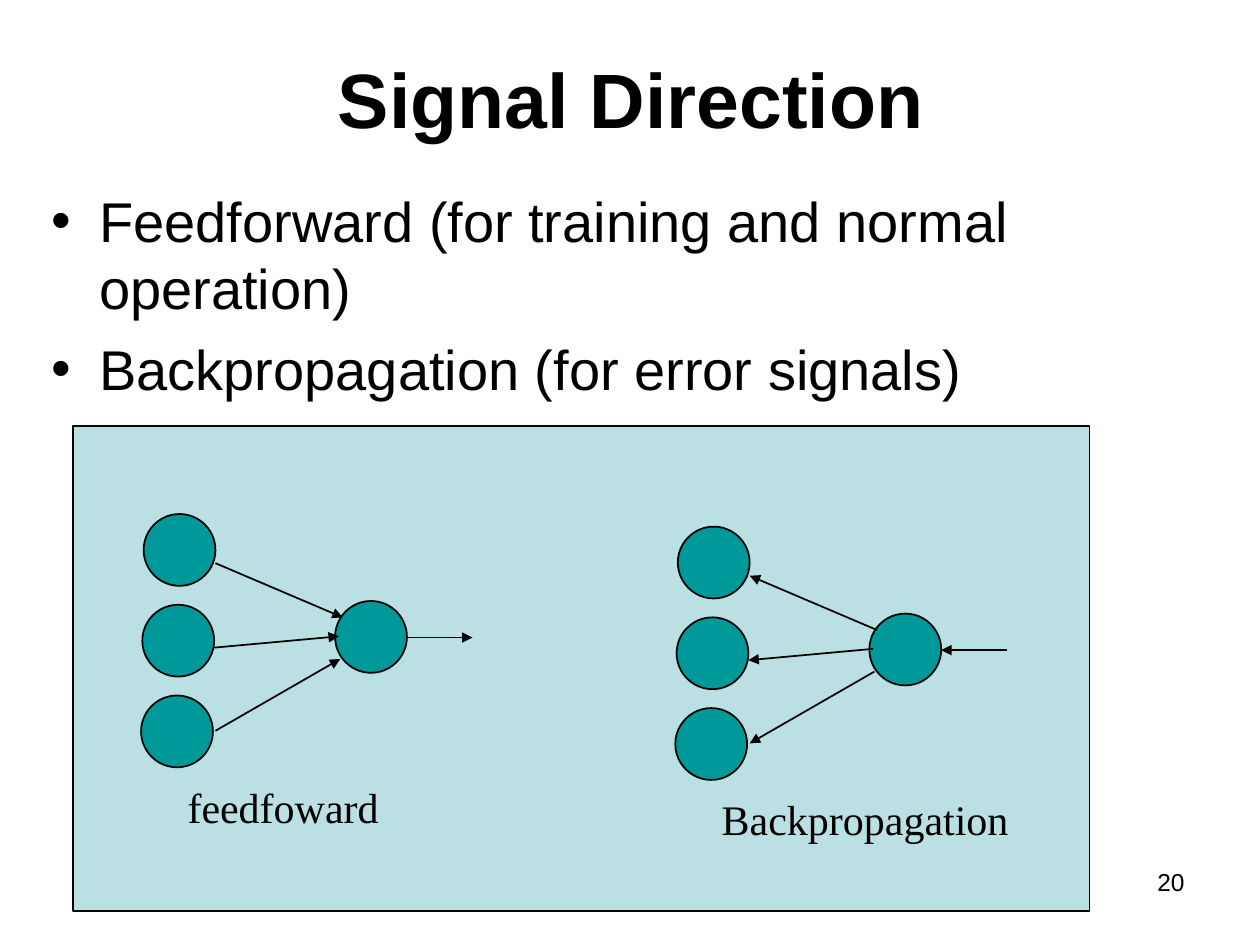
from lxml.etree import SubElement
from pptx import Presentation
from pptx.dml.color import RGBColor
from pptx.enum.shapes import MSO_CONNECTOR, MSO_SHAPE
from pptx.enum.text import MSO_ANCHOR, PP_ALIGN
from pptx.oxml.ns import qn
from pptx.util import Inches, Pt

COLORS = {"ink": "000000", "panel": "BBE0E3", "neuron": "009999"}
NEURON_SIZE = 0.57
NEURONS = [(0.02, 0), (0.01, 0.72), (0, 1.44), (1.54, 0.69)]
SIGNALS = [
    ((0.59, 0.39), (1.6, 0.82)),
    ((0.58, 1.06), (1.57, 0.97)),
    ((0.59, 1.72), (1.58, 1.15)),
    ((2.11, 0.98), (2.63, 0.98)),
]


def color(name):
    """Return a named colour of the palette."""
    return RGBColor.from_string(COLORS[name])


def style_font(para, size, family="Arial", bold=False):
    """Set the font of a whole paragraph."""
    para.font.name = family
    para.font.size = Pt(size)
    para.font.bold = bold
    para.font.color.rgb = color("ink")


def add_text(shapes, box, text, size, family="Arial", bold=False,
             align=PP_ALIGN.LEFT, anchor=MSO_ANCHOR.TOP):
    """Add a text box with one styled paragraph."""
    frame = shapes.add_textbox(*map(Inches, box)).text_frame
    frame.word_wrap = True
    frame.vertical_anchor = anchor
    para = frame.paragraphs[0]
    para.text = text
    para.alignment = align
    style_font(para, size, family, bold)


def add_bullets(page, box, items):
    """Add a bulleted list with hanging indents."""
    frame = page.shapes.add_textbox(*map(Inches, box)).text_frame
    frame.word_wrap = True
    for index, item in enumerate(items):
        para = frame.add_paragraph() if index else frame.paragraphs[0]
        para.text = item
        para.space_before = Pt(8 if index else 0)
        properties = para._p.get_or_add_pPr()
        properties.set("marL", str(Inches(0.38)))
        properties.set("indent", str(Inches(-0.38)))
        SubElement(properties, qn("a:buFont"), typeface="Arial")
        SubElement(properties, qn("a:buChar"), char="•")
        style_font(para, 32)


def add_filled(shapes, kind, box, fill, line_width):
    """Add a flat outlined shape."""
    shape = shapes.add_shape(kind, *map(Inches, box))
    shape.shadow.inherit = False
    shape.fill.solid()
    shape.fill.fore_color.rgb = color(fill)
    shape.line.color.rgb = color("ink")
    shape.line.width = Pt(line_width)


def add_signal(shapes, start, end, arrow_end):
    """Add a line with an arrowhead at the named end."""
    signal = shapes.add_connector(
        MSO_CONNECTOR.STRAIGHT, *map(Inches, (*start, *end)))
    signal.line.color.rgb = color("ink")
    signal.line.width = Pt(1)
    SubElement(signal.line._get_or_add_ln(), qn(f"a:{arrow_end}"), type="triangle")
    SubElement(signal._element.spPr, qn("a:effectLst"))


def add_network(page, box, label, arrow_end):
    """Add three neurons feeding one neuron, with a label below."""
    left, top, width, height = box
    shapes = page.shapes.add_group_shape().shapes
    for x, y in NEURONS:
        neuron_box = (left + x, top + y, NEURON_SIZE, NEURON_SIZE)
        add_filled(shapes, MSO_SHAPE.OVAL, neuron_box, "neuron", 1)
    for start, end in SIGNALS:
        points = [(left + x, top + y) for x, y in (start, end)]
        add_signal(shapes, *points, arrow_end)
    label_box = (left + 0.27, top + height - 0.5, width - 0.27, 0.5)
    add_text(shapes, label_box, label, 24, "Times New Roman")


def main():
    """Build the slide and save the deck."""
    deck = Presentation()
    deck.slide_width, deck.slide_height = Inches(10), Inches(7.5)
    page = deck.slides.add_slide(deck.slide_layouts[6])
    add_text(page.shapes, (0.51, 0.15, 9, 1.25), "Signal Direction", 44, bold=True,
             align=PP_ALIGN.CENTER, anchor=MSO_ANCHOR.MIDDLE)
    add_bullets(page, (0.31, 1.43, 9.37, 4.95), [
        "Feedforward (for training and normal operation)",
        "Backpropagation (for error signals)",
    ])
    add_filled(page.shapes, MSO_SHAPE.RECTANGLE, (0.58, 3.38, 8.07, 3.85), "panel", 0.75)
    add_network(page, (1.12, 4.08, 1.99, 2.57), "feedfoward", "tailEnd")
    add_network(page, (5.36, 4.18, 2.87, 2.57), "Backpropagation", "headEnd")
    add_text(page.shapes, (7.17, 6.83, 2.33, 0.52), "20", 14, align=PP_ALIGN.RIGHT)
    deck.save("out.pptx")


if __name__ == "__main__":
    main()
